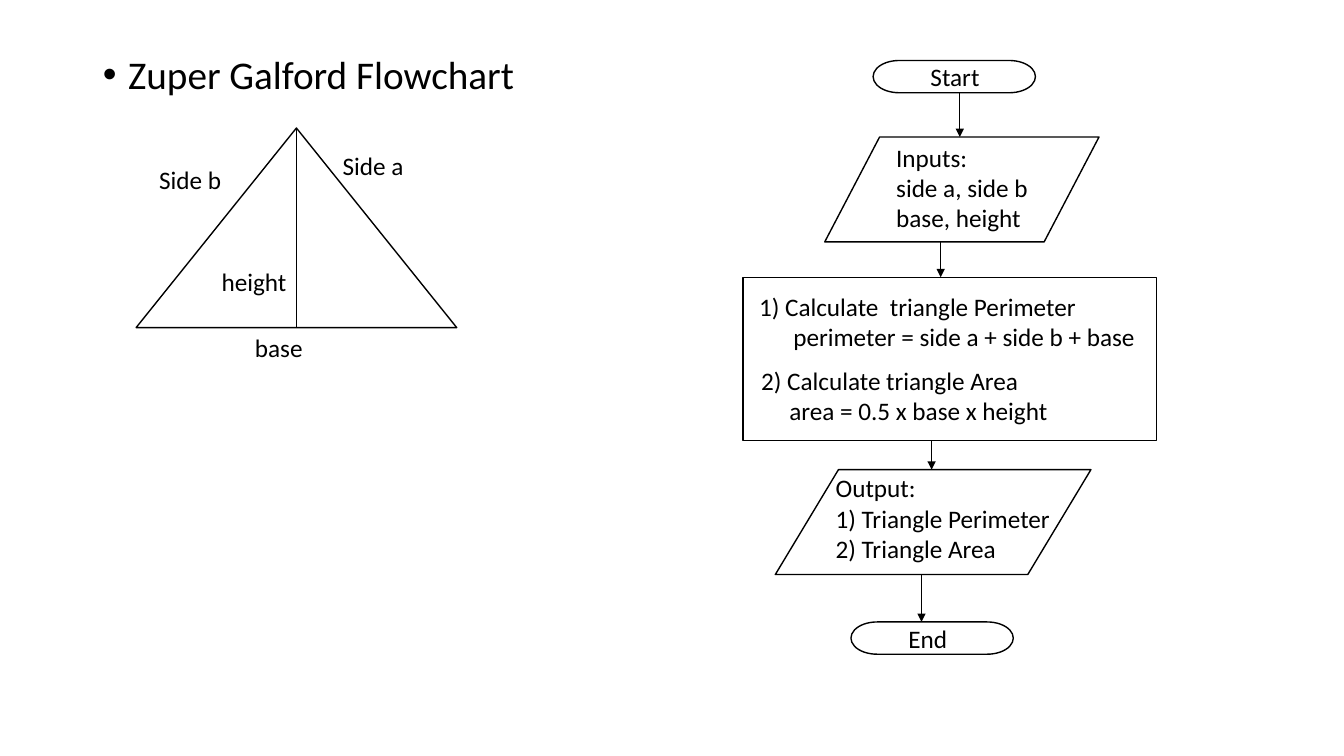
import pptx
import pptx.util
import pptx.dml.color
import pptx.enum.shapes
import pptx.enum.text
import pptx.oxml.ns
from dataclasses import dataclass
from lxml import etree

Inches, Pt = pptx.util.Inches, pptx.util.Pt
RGB = pptx.dml.color.RGBColor
SHAPE = pptx.enum.shapes.MSO_SHAPE
STRAIGHT = pptx.enum.shapes.MSO_CONNECTOR.STRAIGHT
FIT = pptx.enum.text.MSO_AUTO_SIZE
qn = pptx.oxml.ns.qn


@dataclass(frozen=True)
class Theme:
    font: str = "Calibri"
    ink: RGB = RGB(0, 0, 0)
    paper: RGB = RGB(255, 255, 255)
    heading: int = 28
    body: int = 18
    outline: float = 1
    hairline: float = 0.5


THEME = Theme()


# Shared helpers
def style_text(frame, size):
    for paragraph in frame.paragraphs:
        for run in paragraph.runs:
            run.font.name, run.font.size = THEME.font, Pt(size)
            run.font.color.rgb = THEME.ink


def add_outline(slide, kind, left, top, width, height, filled=True):
    outline = slide.shapes.add_shape(
        kind, Inches(left), Inches(top), Inches(width), Inches(height))
    outline.shadow.inherit = False
    if filled:
        outline.fill.solid()
        outline.fill.fore_color.rgb = THEME.paper
    else:
        outline.fill.background()
    outline.line.color.rgb, outline.line.width = THEME.ink, Pt(THEME.outline)


def add_label(slide, text, left, top, width, height, indents=()):
    label = slide.shapes.add_textbox(
        Inches(left), Inches(top), Inches(width), Inches(height))
    frame = label.text_frame
    frame.text = text
    frame.word_wrap, frame.auto_size = True, FIT.SHAPE_TO_FIT_TEXT
    for paragraph, indent in zip(frame.paragraphs, indents):
        paragraph._p.get_or_add_pPr().set("marL", str(Inches(indent)))
    style_text(frame, THEME.body)


def add_vertical(slide, x, top, bottom, arrow=True):
    line = slide.shapes.add_connector(
        STRAIGHT, Inches(x), Inches(top), Inches(x), Inches(bottom))
    line.line.color.rgb, line.line.width = THEME.ink, Pt(THEME.hairline)
    if arrow:
        etree.SubElement(line.line._get_or_add_ln(), qn("a:tailEnd"), type="triangle")
    etree.SubElement(line._element.spPr, qn("a:effectLst"))


# Heading bullet in the body placeholder
def build_heading(slide, left, top, width, height):
    body = slide.placeholders[1]
    body.left, body.top = Inches(left), Inches(top)
    body.width, body.height = Inches(width), Inches(height)
    frame = body.text_frame
    frame.text = "Zuper Galford Flowchart"
    frame.auto_size = FIT.NONE
    paragraph = frame.paragraphs[0]
    paragraph.line_spacing, paragraph.space_before = 0.9, Pt(10)
    properties = paragraph._p.get_or_add_pPr()
    properties.set("marL", str(Inches(0.25)))
    properties.set("indent", str(Inches(-0.25)))
    etree.SubElement(properties, qn("a:buFont"), typeface="Arial")
    etree.SubElement(properties, qn("a:buChar"), char="•")
    style_text(frame, THEME.heading)


# Labelled triangle with its height
def build_triangle(slide, left, top, width, height):
    add_outline(slide, SHAPE.ISOSCELES_TRIANGLE, left, top, width, height)
    add_vertical(slide, left + width / 2, top, top + height, arrow=False)
    for text, dx, dy in (("Side a", 1.95, 0.17), ("Side b", 0.13, 0.31),
                         ("height", 0.75, 1.32), ("base", 1.08, height)):
        add_label(slide, text, left + dx, top + dy, 0.86, 0.4)


# Flowchart: outlines, arrows and step texts, offset from the region's corner
def build_flowchart(slide, left, top):
    terminator, data = SHAPE.FLOWCHART_TERMINATOR, SHAPE.FLOWCHART_DATA
    steps = (
        (terminator, 1.29, 0, 1.61, 0.32),
        (data, 0.81, 0.76, 2.72, 1.04),
        (SHAPE.FLOWCHART_PROCESS, 0, 2.15, 4.1, 1.62),
        (data, 0.32, 4.06, 3.13, 1.04),
        (terminator, 1.07, 5.57, 1.61, 0.32),
    )
    for kind, dx, dy, width, height in steps:
        add_outline(slide, kind, left + dx, top + dy, width, height,
                    filled=kind != SHAPE.FLOWCHART_PROCESS)

    arrow_offsets = (2.15, 1.96, 1.87, 1.77)
    for dx, upper, lower in zip(arrow_offsets, steps, steps[1:]):
        add_vertical(slide, left + dx, top + upper[2] + upper[4], top + lower[2])

    texts = (
        ("Start", 1.76, -0.04, 1.69, 0.4, ()),
        ("Inputs:\nside a, side b\nbase, height", 1.42, 0.76, 4.23, 1.01, ()),
        ("1) Calculate  triangle Perimeter\nperimeter = side a + side b + base",
         0, 2.24, 5.3, 0.71, (0.06, 0.4)),
        ("2) Calculate triangle Area\narea = 0.5 x base x height",
         0.02, 2.97, 3.73, 0.71, (0.06, 0.34)),
        ("Output:\n1) Triangle Perimeter\n2) Triangle Area", 0.82, 4.04, 4.23, 1.31, ()),
        ("End", 1.54, 5.53, 1.69, 0.4, ()),
    )
    for text, dx, dy, width, height, indents in texts:
        add_label(slide, text, left + dx, top + dy, width, height, indents)


presentation = pptx.Presentation()
presentation.slide_width, presentation.slide_height = Inches(13.33), Inches(7.5)
slide = presentation.slides.add_slide(presentation.slide_layouts[1])
unused_title = slide.shapes.title._element
unused_title.getparent().remove(unused_title)

build_heading(slide, 0.92, 0.5, 11.5, 6.26)
build_triangle(slide, 1.35, 1.27, 3.18, 1.98)
build_flowchart(slide, 7.37, 0.6)
presentation.save("out.pptx")
